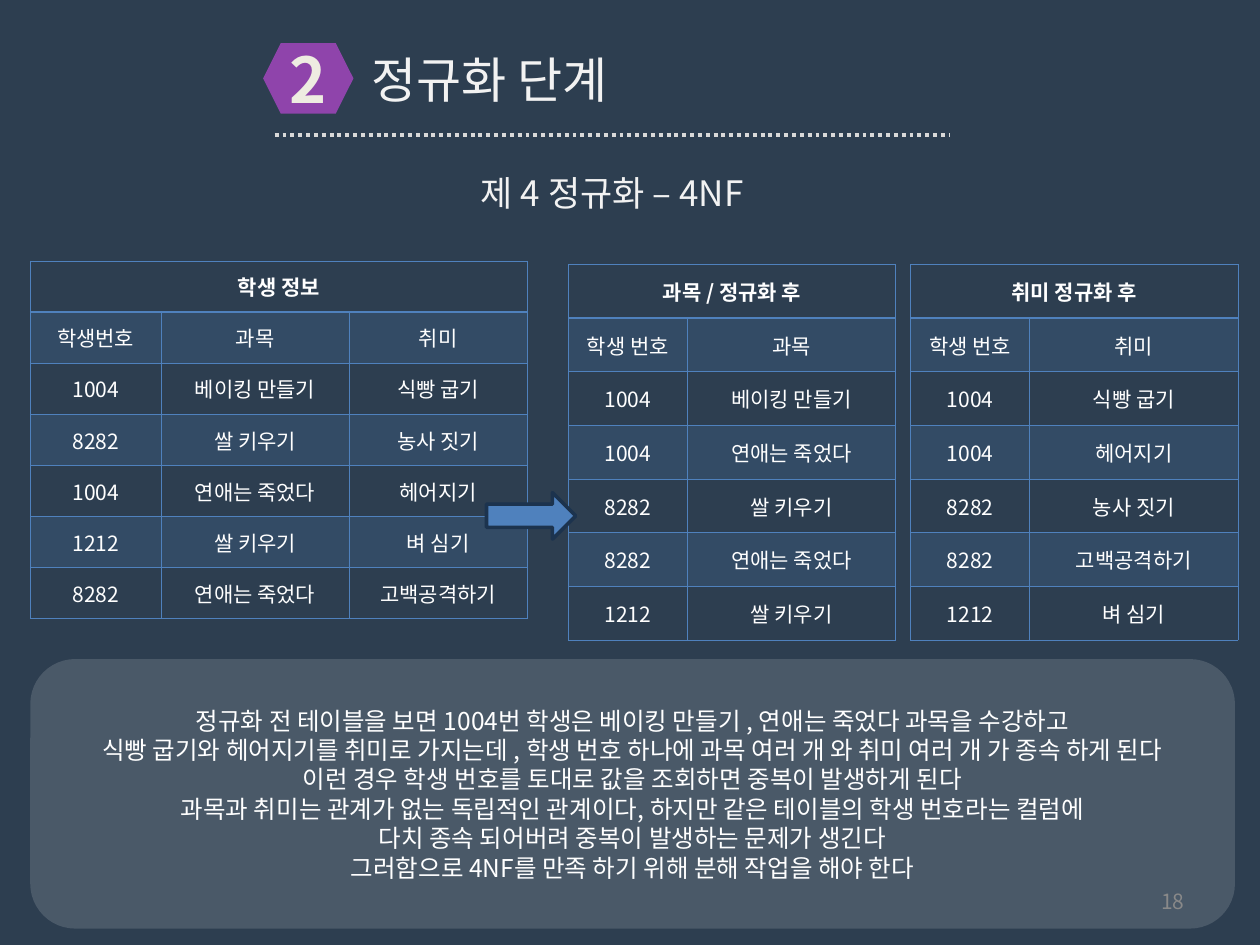
from dataclasses import dataclass

from lxml.etree import SubElement
from pptx import Presentation
from pptx.dml.color import RGBColor
from pptx.enum.dml import MSO_LINE
from pptx.enum.shapes import MSO_CONNECTOR, MSO_SHAPE
from pptx.enum.text import MSO_ANCHOR, PP_ALIGN
from pptx.oxml.ns import qn
from pptx.util import Pt

FONT = "Noto Sans CJK KR"
BLUE = "4F81BD"
WHITE = "FFFFFF"
LIGHT = "F2F2F2"


@dataclass
class TableSpec:
    left: float
    top: float
    column_widths: list[float]
    row_height: float
    title: str
    rows: list[list[str]]


@dataclass
class TextStyle:
    size: float
    color: str = WHITE
    bold: bool = False
    align: PP_ALIGN = PP_ALIGN.CENTER
    anchor: MSO_ANCHOR = MSO_ANCHOR.MIDDLE


def color(hex_value: str) -> RGBColor:
    return RGBColor.from_string(hex_value)


def fill_solid(fill, element, hex_value: str, opacity: int = 100) -> None:
    fill.solid()
    fill.fore_color.rgb = color(hex_value)
    if opacity < 100:
        rgb = element.find(f"{qn('a:solidFill')}/{qn('a:srgbClr')}")
        SubElement(rgb, qn("a:alpha"), val=str(opacity * 1000))


def style_paragraph(paragraph, style: TextStyle) -> None:
    paragraph.alignment = style.align
    font = paragraph.font
    font.size = Pt(style.size)
    font.bold = style.bold
    font.color.rgb = color(style.color)
    font.name = FONT
    defaults = paragraph._p.pPr.find(qn("a:defRPr"))
    SubElement(defaults, qn("a:ea"), typeface=FONT)


def write_text(shape, lines: list[str], style: TextStyle) -> None:
    frame = shape.text_frame
    frame.word_wrap = True
    frame.vertical_anchor = style.anchor
    frame.text = "\n".join(lines)
    for paragraph in frame.paragraphs:
        style_paragraph(paragraph, style)


def add_text(slide, left: float, top: float, width: float, height: float,
             text: str, style: TextStyle) -> None:
    box = slide.shapes.add_textbox(Pt(left), Pt(top), Pt(width), Pt(height))
    write_text(box, [text], style)


def add_filled_shape(slide, kind: MSO_SHAPE, left: float, top: float, width: float,
                     height: float, hex_value: str, opacity: int = 100):
    shape = slide.shapes.add_shape(kind, Pt(left), Pt(top), Pt(width), Pt(height))
    shape.shadow.inherit = False
    fill_solid(shape.fill, shape._element.spPr, hex_value, opacity)
    shape.line.fill.background()
    return shape


def add_border(properties, side: str, width: float) -> None:
    line = SubElement(properties, qn(f"a:ln{side}"), w=str(Pt(width)))
    solid = SubElement(line, qn("a:solidFill"))
    SubElement(solid, qn("a:srgbClr"), val=BLUE)


def format_cell(cell, row_index: int) -> None:
    properties = cell._tc.get_or_add_tcPr()
    for side in "LRTB":
        under_title = (row_index, side) in ((0, "B"), (1, "T"))
        add_border(properties, side, 0.96 if under_title else 0.45)
    if row_index % 2:
        fill_solid(cell.fill, properties, BLUE, 20)
    else:
        cell.fill.background()
    cell.vertical_anchor = MSO_ANCHOR.MIDDLE
    style_paragraph(cell.text_frame.paragraphs[0], TextStyle(12, bold=row_index == 0))


def add_data_table(slide, spec: TableSpec) -> None:
    row_count, column_count = len(spec.rows) + 1, len(spec.column_widths)
    table = slide.shapes.add_table(
        row_count, column_count, Pt(spec.left), Pt(spec.top),
        Pt(sum(spec.column_widths)), Pt(spec.row_height * row_count)).table
    table.first_row = table.horz_banding = False
    for column, width in zip(table.columns, spec.column_widths):
        column.width = Pt(width)
    table.cell(0, 0).merge(table.cell(0, column_count - 1))
    table.cell(0, 0).text = spec.title
    for row_index, row in enumerate(table.rows):
        row.height = Pt(spec.row_height)
        for column_index, cell in enumerate(row.cells):
            if row_index:
                cell.text = spec.rows[row_index - 1][column_index]
            format_cell(cell, row_index)


TABLES = [
    TableSpec(17.2, 149.2, [75, 107.2, 102.2], 29.2, "학생 정보", [
        ["학생번호", "과목", "취미"],
        ["1004", "베이킹 만들기", "식빵 굽기"],
        ["8282", "쌀 키우기", "농사 짓기"],
        ["1004", "연애는 죽었다", "헤어지기"],
        ["1212", "쌀 키우기", "벼 심기"],
        ["8282", "연애는 죽었다", "고백공격하기"],
    ]),
    TableSpec(324.8, 151.2, [68, 119], 30.65, "과목 / 정규화 후", [
        ["학생 번호", "과목"],
        ["1004", "베이킹 만들기"],
        ["1004", "연애는 죽었다"],
        ["8282", "쌀 키우기"],
        ["8282", "연애는 죽었다"],
        ["1212", "쌀 키우기"],
    ]),
    TableSpec(520.4, 151.2, [68, 119], 30.65, "취미 정규화 후", [
        ["학생 번호", "취미"],
        ["1004", "식빵 굽기"],
        ["1004", "헤어지기"],
        ["8282", "농사 짓기"],
        ["8282", "고백공격하기"],
        ["1212", "벼 심기"],
    ]),
]

EXPLANATION = [
    "정규화 전 테이블을 보면 1004번 학생은 베이킹 만들기 , 연애는 죽었다 과목을 수강하고",
    "식빵 굽기와 헤어지기를 취미로 가지는데 , 학생 번호 하나에 과목 여러 개 와 취미 여러 개 가 종속 하게 된다",
    "이런 경우 학생 번호를 토대로 값을 조회하면 중복이 발생하게 된다",
    "과목과 취미는 관계가 없는 독립적인 관계이다, 하지만 같은 테이블의 학생 번호라는 컬럼에",
    "다치 종속 되어버려 중복이 발생하는 문제가 생긴다",
    "그러함으로 4NF를 만족 하기 위해 분해 작업을 해야 한다",
]


def main() -> None:
    presentation = Presentation()
    presentation.slide_width, presentation.slide_height = Pt(720), Pt(540)
    slide = presentation.slides.add_slide(presentation.slide_layouts[6])
    slide.background.fill.solid()
    slide.background.fill.fore_color.rgb = color("2D3E50")

    # Heading with its number and dotted rule
    badge = add_filled_shape(slide, MSO_SHAPE.HEXAGON, 150.4, 24.6, 51.6, 40.4, "8F44AB")
    badge.adjustments[0] = 0.25
    write_text(badge, ["2"], TextStyle(36, "EEECE1", bold=True))
    add_text(slide, 205.2, 24.5, 380, 41, "정규화 단계",
             TextStyle(28, LIGHT, align=PP_ALIGN.LEFT, anchor=MSO_ANCHOR.TOP))
    rule = slide.shapes.add_connector(
        MSO_CONNECTOR.STRAIGHT, Pt(157), Pt(77), Pt(543), Pt(77))
    rule.line.color.rgb = color("D9D9D9")
    rule.line.width = Pt(2.25)
    rule.line.dash_style = MSO_LINE.ROUND_DOT
    SubElement(rule._element.spPr, qn("a:effectLst"))
    add_text(slide, 159.8, 94.3, 380, 31.7, "제 4 정규화 – 4NF",
             TextStyle(20, LIGHT, anchor=MSO_ANCHOR.TOP))

    # Explanation panel
    panel = add_filled_shape(
        slide, MSO_SHAPE.ROUNDED_RECTANGLE, 17.3, 376.6, 688.4, 154, WHITE, 14)
    write_text(panel, EXPLANATION, TextStyle(14))

    # Tables before and after normalization, joined by an arrow
    for spec in TABLES:
        add_data_table(slide, spec)
    arrow = add_filled_shape(slide, MSO_SHAPE.RIGHT_ARROW, 278, 281.5, 51, 26.6, BLUE)
    arrow.line.color.rgb = color("1C334E")
    arrow.line.width = Pt(2)

    # Slide number
    add_text(slide, 516.2, 500.4, 167.8, 28.8, "18",
             TextStyle(12, "898989", align=PP_ALIGN.RIGHT))

    presentation.save("out.pptx")


if __name__ == "__main__":
    main()
